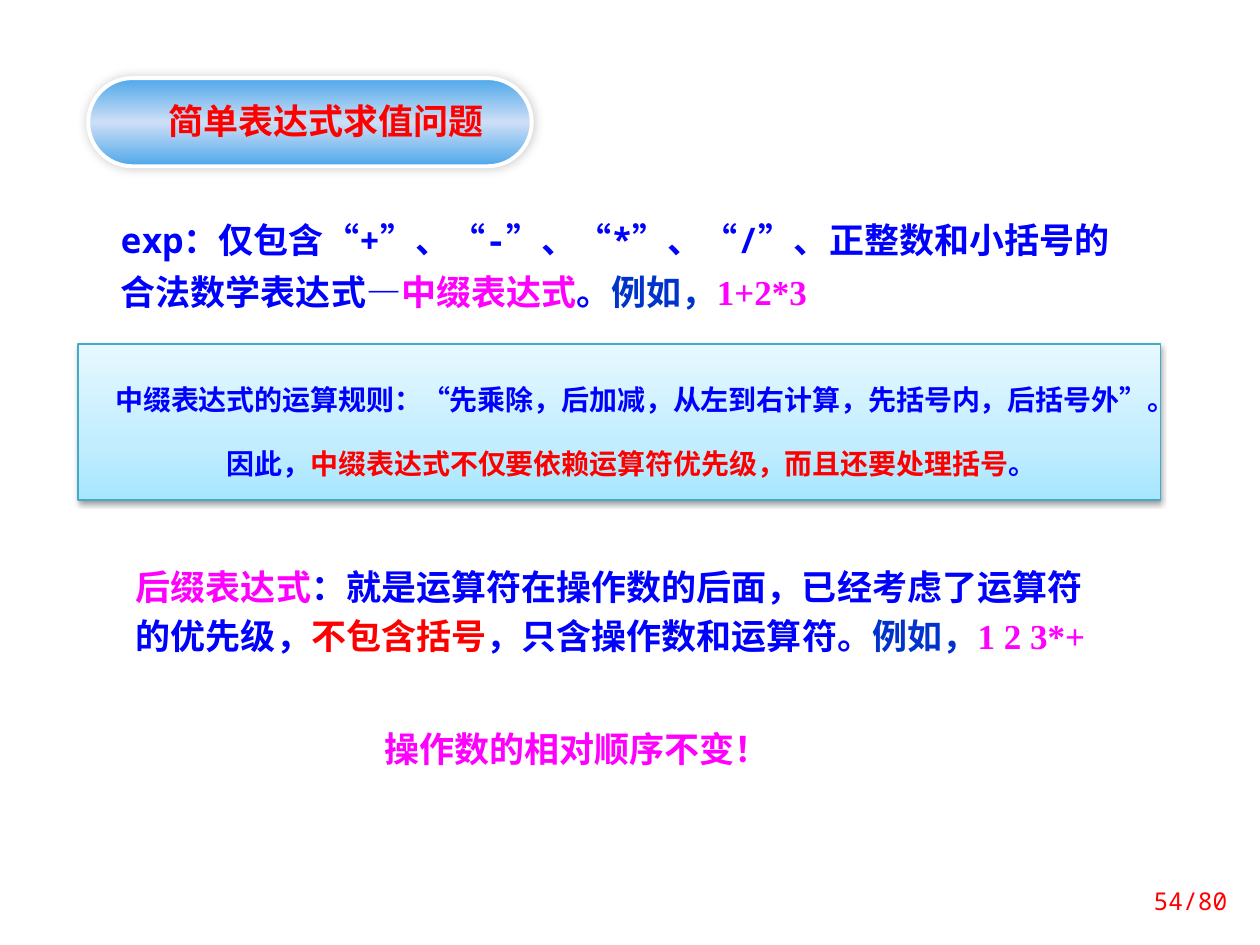
from lxml import etree
from pptx import Presentation
from pptx.dml.color import RGBColor
from pptx.enum.shapes import MSO_SHAPE as SHAPE
from pptx.enum.text import MSO_ANCHOR as ANCHOR, PP_ALIGN as ALIGN
from pptx.oxml.ns import qn
from pptx.util import Inches, Pt

C = {
    "blue": "0000FF", "navy": "0033CC", "red": "FF0000", "pink": "FF00FF",
    "white": "FFFFFF", "black": "000000", "teal": "46AAC5",
    "pill": "4EA7EA", "pill_mid": "CDDFF6",
    "sky": "A7E6FF", "sky_mid": "C1EDFF", "sky_pale": "E7F8FF",
}
MONO, SERIF, CJK = "Noto Sans Mono", "Times New Roman", "Noto Sans CJK SC"


def add_run(p, text, color, size=20, font=MONO, bold=True):
    r = p.add_run()
    r.text = text
    r.font.size = Pt(size)
    r.font.bold = bold
    r.font.name = font
    r.font.color.rgb = RGBColor.from_string(C[color])
    ea = etree.SubElement(r.font._element, qn("a:ea"))
    ea.set("typeface", CJK)


def add_text(slide, box, runs, spacing=None):
    sp = slide.shapes.add_textbox(*map(Inches, box))
    tf = sp.text_frame
    tf.word_wrap = True
    p = tf.paragraphs[0]
    if spacing:
        p.line_spacing = Pt(spacing)
    for run in runs:
        add_run(p, *run)
    return sp


def add_panel(slide, kind, box, stops, angle, line, width, shadow):
    sp = slide.shapes.add_shape(kind, *map(Inches, box))
    sp.fill.gradient()
    sp.fill.gradient_angle = angle
    stop_list = sp._element.spPr.find(qn("a:gradFill")).find(qn("a:gsLst"))
    for old in list(stop_list):
        stop_list.remove(old)
    for pos, color in stops:
        gs = etree.SubElement(stop_list, qn("a:gs"), pos=str(pos * 1000))
        etree.SubElement(gs, qn("a:srgbClr"), val=C[color])
    sp.line.color.rgb = RGBColor.from_string(C[line])
    sp.line.width = Pt(width)
    sp.shadow.inherit = False
    alpha, blur, dist, direction = shadow
    effects = sp._element.spPr.find(qn("a:effectLst"))
    outer = etree.SubElement(
        effects, qn("a:outerShdw"), blurRad=str(Pt(blur)), dist=str(Pt(dist)),
        dir=str(direction * 60000), algn="ctr", rotWithShape="0")
    clr = etree.SubElement(outer, qn("a:srgbClr"), val=C["black"])
    etree.SubElement(clr, qn("a:alpha"), val=str(alpha * 1000))
    return sp


def add_heading(slide, box, text):
    x, y, w, h = box
    pill = add_panel(slide, SHAPE.ROUNDED_RECTANGLE, box,
                     [(0, "pill"), (50, "pill_mid"), (100, "pill")],
                     270, "white", 2.25, (20, 6, 0, 225))
    pill.adjustments[0] = 0.5
    title = slide.shapes.title
    title.left, title.top = Inches(x + 0.23), Inches(y + 0.12)
    title.width, title.height = Inches(w - 0.2), Inches(h - 0.26)
    pill._element.addnext(title._element)
    tf = title.text_frame
    tf.vertical_anchor = ANCHOR.MIDDLE
    p = tf.paragraphs[0]
    p.alignment = ALIGN.CENTER
    add_run(p, text, "red", 20, CJK)


def add_rules(slide, box, paragraphs):
    sp = add_panel(slide, SHAPE.RECTANGLE, box,
                   [(0, "sky"), (35, "sky_mid"), (100, "sky_pale")],
                   90, "teal", 0.75, (38, 3.1, 1.6, 90))
    tf = sp.text_frame
    tf.word_wrap = True
    tf.vertical_anchor = ANCHOR.TOP
    tf.margin_left, tf.margin_right = Inches(0.2), 0
    tf.margin_top = Inches(0.17)
    for i, runs in enumerate(paragraphs):
        p = tf.add_paragraph() if i else tf.paragraphs[0]
        p.alignment = ALIGN.CENTER
        p.line_spacing = 1.5
        if i:
            p.space_before = Pt(8)
        for text, color in runs:
            add_run(p, text, color, 16)


def add_page_number(slide, box, text):
    sp = add_text(slide, box, [(text, "red", 14, MONO, False)])
    sp.text_frame.vertical_anchor = ANCHOR.MIDDLE
    sp.text_frame.paragraphs[0].alignment = ALIGN.RIGHT


def main():
    prs = Presentation()
    prs.slide_width, prs.slide_height = Inches(10), Inches(7.5)
    slide = prs.slides.add_slide(prs.slide_layouts[5])

    add_text(slide, (0.86, 1.6, 8.07, 0.94), [
        ("exp：仅包含“+”、“-”、“*”、“/”、正整数和小括号的合法数学表达式—", "blue"),
        ("中缀表达式", "pink", 20, SERIF),
        ("。", "blue"),
        ("例如，", "navy", 20, SERIF),
        ("1+2*3", "pink", 20, SERIF),
    ], 30)
    add_text(slide, (0.98, 4.38, 7.94, 0.88), [
        ("后缀表达式", "pink", 20, SERIF),
        ("：就是运算符在操作数的后面，已经考虑了运算符的优先级，", "blue"),
        ("不包含括号", "red"),
        ("，只含操作数和运算符。", "blue"),
        ("例如，", "navy", 20, SERIF),
        ("1 2 3*+", "pink", 20, SERIF),
    ], 28)
    add_heading(slide, (0.7, 0.62, 3.52, 0.7), "简单表达式求值问题")
    add_rules(slide, (0.62, 2.73, 8.59, 1.24), [
        [("中缀表达式的运算规则：“先乘除，后加减，从左到右计算，先括号内，后括号外”。", "blue")],
        [("因此，", "blue"),
         ("中缀表达式不仅要依赖运算符优先级，而且还要处理括号", "red"),
         ("。", "blue")],
    ])
    add_text(slide, (2.95, 5.67, 3.58, 0.49),
             [("操作数的相对顺序不变！", "pink")], 28)
    add_page_number(slide, (8.86, 6.95, 0.98, 0.4), "54/80")
    prs.save("out.pptx")


if __name__ == "__main__":
    main()
